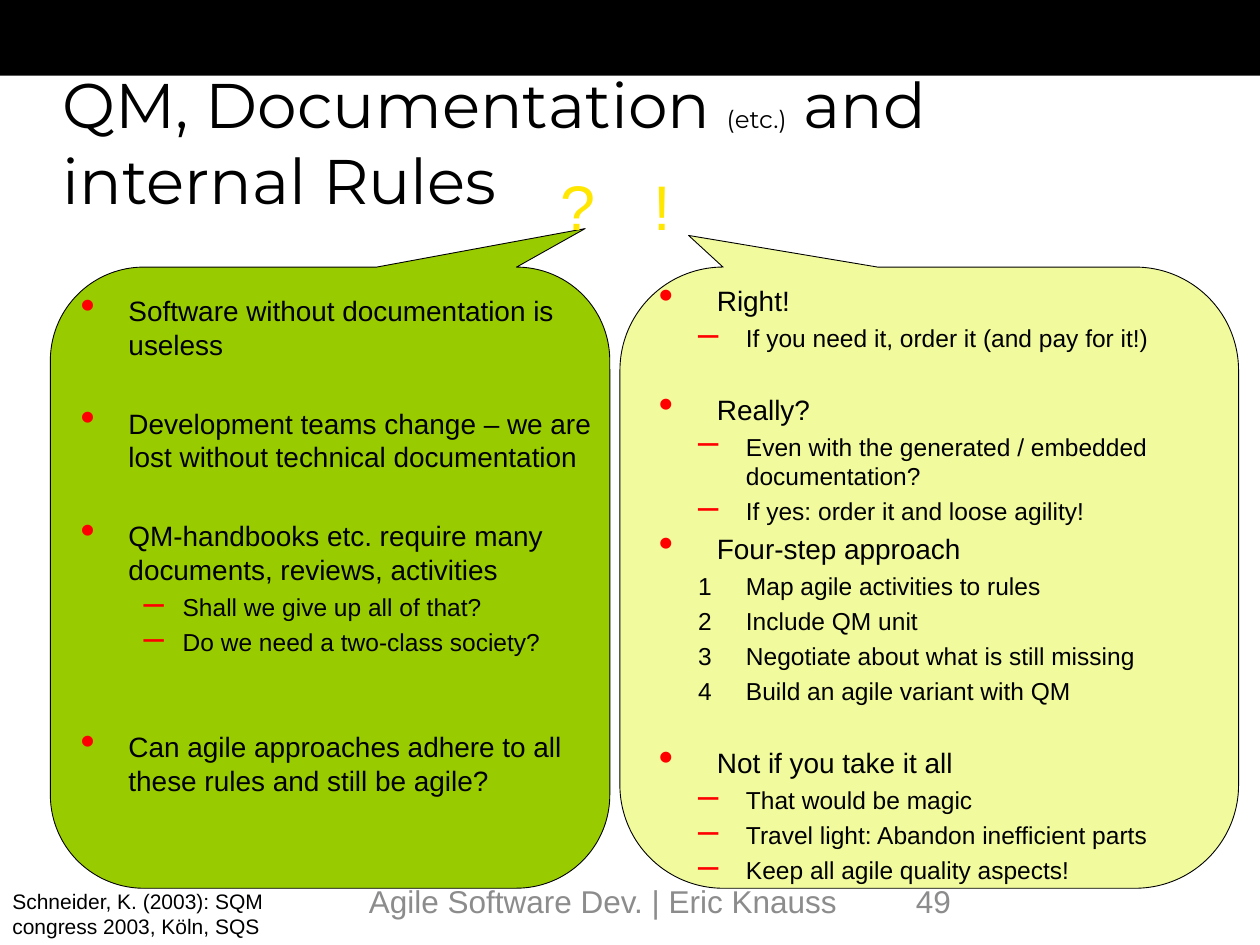
from dataclasses import dataclass
from typing import Any

import pptx
import pptx.dml.color
import pptx.enum.shapes
import pptx.enum.text
import pptx.oxml.ns
import pptx.util
from lxml import etree

Inches = pptx.util.Inches
Pt = pptx.util.Pt

COLORS = {
    "black": "000000", "white": "FFFFFF", "question_panel": "99CC00", "answer_panel": "F1FA9C",
    "bullet": "FF0000", "footer": "8C8C8C", "yellow": "FFE701", "orange": "FE3E02",
}
FIRST_GAP, TOPIC_GAP, DETAIL_GAP = 0, 3.7, 3.2


@dataclass
class Box:
    left: float
    top: float
    width: float
    height: float

    def lengths(self) -> list:
        return [Inches(value) for value in (self.left, self.top, self.width, self.height)]


@dataclass
class Callout:
    box: Box
    color: str
    adjustments: tuple


@dataclass
class Level:
    size: float
    margin: float
    hanging: float


@dataclass
class Item:
    text: str
    level: int = 0
    bullet: str = "•"
    gap: float = TOPIC_GAP


@dataclass
class Label:
    text: str
    box: Box
    size: float
    color: str
    wrap: bool = True


def topic(text: str, gap: float = TOPIC_GAP) -> Item:
    return Item(text, gap=gap)


def detail(text: str) -> Item:
    return Item(text, 1, "–", DETAIL_GAP)


def step(text: str) -> Item:
    return Item(text, 1, "", DETAIL_GAP)


def rgb(name: str) -> pptx.dml.color.RGBColor:
    return pptx.dml.color.RGBColor.from_string(COLORS[name])


def apply_format(target: Any, values: dict) -> None:
    for name, value in values.items():
        setattr(target, name, value)


def add_run(paragraph: Any, text: str, size: float, color: str = "black", font: str = "Arial") -> Any:
    run = paragraph.add_run()
    run.text = text
    apply_format(run.font, {"size": Pt(size), "name": font})
    run.font.fill.solid()
    run.font.fill.fore_color.rgb = rgb(color)
    return run


def add_frame(slide: Any, box: Box, insets: tuple = (0.1, 0.05), wrap: bool = True) -> Any:
    frame = slide.shapes.add_textbox(*box.lengths()).text_frame
    horizontal, vertical = (Inches(inset) for inset in insets)
    apply_format(frame, {
        "word_wrap": wrap, "vertical_anchor": pptx.enum.text.MSO_ANCHOR.TOP,
        "margin_left": horizontal, "margin_right": horizontal,
        "margin_top": vertical, "margin_bottom": vertical,
    })
    return frame


def add_panel(slide: Any, kind: Any, box: Box, color: str) -> Any:
    shape = slide.shapes.add_shape(kind, *box.lengths())
    shape.shadow.inherit = False
    shape.fill.solid()
    shape.fill.fore_color.rgb = rgb(color)
    shape.line.fill.background()
    return shape


def add_callout(slide: Any, callout: Callout) -> None:
    kind = pptx.enum.shapes.MSO_SHAPE.ROUNDED_RECTANGULAR_CALLOUT
    shape = add_panel(slide, kind, callout.box, callout.color)
    for index, value in enumerate(callout.adjustments):
        shape.adjustments[index] = value
    shape.line.color.rgb = rgb("black")
    shape.line.width = Pt(0.5)


def set_bullet(paragraph: Any, level: Level, bullet: str) -> None:
    properties = paragraph._p.get_or_add_pPr()
    properties.set("marL", str(Inches(level.margin)))
    properties.set("indent", str(-Inches(level.hanging)))
    qn = pptx.oxml.ns.qn
    if not bullet:
        etree.SubElement(properties, qn("a:buNone"))
        return
    color = etree.SubElement(properties, qn("a:buClr"))
    etree.SubElement(color, qn("a:srgbClr"), val=COLORS["bullet"])
    etree.SubElement(properties, qn("a:buSzPct"), val="150000")
    etree.SubElement(properties, qn("a:buChar"), char=bullet)


def add_list(slide: Any, box: Box, levels: tuple, items: list) -> None:
    frame = add_frame(slide, box, (0.08, 0.04))
    for index, item in enumerate(items):
        paragraph = frame.add_paragraph() if index else frame.paragraphs[0]
        level = levels[item.level]
        set_bullet(paragraph, level, item.bullet)
        apply_format(paragraph, {"level": item.level, "space_before": Pt(item.gap)})
        add_run(paragraph, item.text, level.size)


def add_label(slide: Any, label: Label) -> Any:
    frame = add_frame(slide, label.box, wrap=label.wrap)
    return add_run(frame.paragraphs[0], label.text, label.size, label.color)


def add_mark(slide: Any, label: Label) -> None:
    fill = add_label(slide, label).font.fill
    fill.gradient()
    fill.gradient_angle = 270
    for stop, color in zip(fill.gradient_stops, ("yellow", "orange")):
        stop.color.rgb = rgb(color)


CALLOUTS = [
    Callout(Box(4.92, 2.12, 4.91, 4.93), "answer_panel", (-0.389, -0.551, 0.167)),
    Callout(Box(0.4, 2.12, 4.44, 4.93), "question_panel", (0.456, -0.562, 0.167)),
]
TITLE_RUNS = [("QM, Documentation ", 36), ("(etc.)", 14), (" and internal Rules", 36)]
QUESTION_LEVELS = (Level(16, 0.38, 0.38), Level(14, 0.81, 0.31))
QUESTIONS = [
    topic("Software without documentation is useless", FIRST_GAP),
    topic("Development teams change – we are lost without technical documentation", 26),
    topic("QM-handbooks etc. require many documents, reviews, activities", 26),
    detail("Shall we give up all of that?"),
    detail("Do we need a two-class society?"),
    topic("Can agile approaches adhere to all these rules and still be agile?", 42),
]
ANSWER_LEVELS = (Level(16, 0.46, 0.46), Level(14, 0.69, 0.38))
ANSWERS = [
    topic("Right!", FIRST_GAP),
    detail("If you need it, order it (and pay for it!)"),
    topic("Really?", 23),
    detail("Even with the generated / embedded documentation?"),
    detail("If yes: order it and loose agility!"),
    topic("Four-step approach"),
    step("1\tMap agile activities to rules"),
    step("2\tInclude QM unit"),
    step("3\tNegotiate about what is still missing"),
    step("4\tBuild an agile variant with QM"),
    topic("Not if you take it all", 23),
    detail("That would be magic"),
    detail("Travel light: Abandon inefficient parts"),
    detail("Keep all agile quality aspects!"),
]
MARKS = [
    Label("?", Box(4.35, 1.28, 0.52, 0.77), 36, "yellow", False),
    Label("!", Box(5.09, 1.28, 0.27, 0.77), 36, "yellow", False),
]
LABELS = [
    Label("Schneider, K. (2003): SQM congress 2003, Köln, SQS", Box(0, 7, 2.83, 0.5), 12, "black"),
    Label("Agile Software Dev. | Eric Knauss", Box(2.83, 6.95, 4.33, 0.4), 18, "footer"),
    Label("49", Box(7.17, 6.95, 2.33, 0.4), 18, "footer"),
]


def main() -> None:
    presentation = pptx.Presentation()
    apply_format(presentation, {"slide_width": Inches(10), "slide_height": Inches(7.5)})
    slide = presentation.slides.add_slide(presentation.slide_layouts[6])

    # Top band and speech bubbles
    add_panel(slide, pptx.enum.shapes.MSO_SHAPE.RECTANGLE, Box(0, 0, 10, 0.6), "black")
    for callout in CALLOUTS:
        add_callout(slide, callout)

    # Title
    title = add_frame(slide, Box(0.42, 0.48, 8.5, 0.83), (0.08, 0.04))
    for text, size in TITLE_RUNS:
        add_run(title.paragraphs[0], text, size, font="Montserrat")

    # Questions and answers
    add_list(slide, Box(0.56, 2.29, 4.38, 4.86), QUESTION_LEVELS, QUESTIONS)
    add_list(slide, Box(5.15, 2.21, 4.78, 4.61), ANSWER_LEVELS, ANSWERS)

    # Punctuation marks, citation and footer
    for mark in MARKS:
        add_mark(slide, mark)
    for label in LABELS:
        add_label(slide, label)
    presentation.save("out.pptx")


if __name__ == "__main__":
    main()
